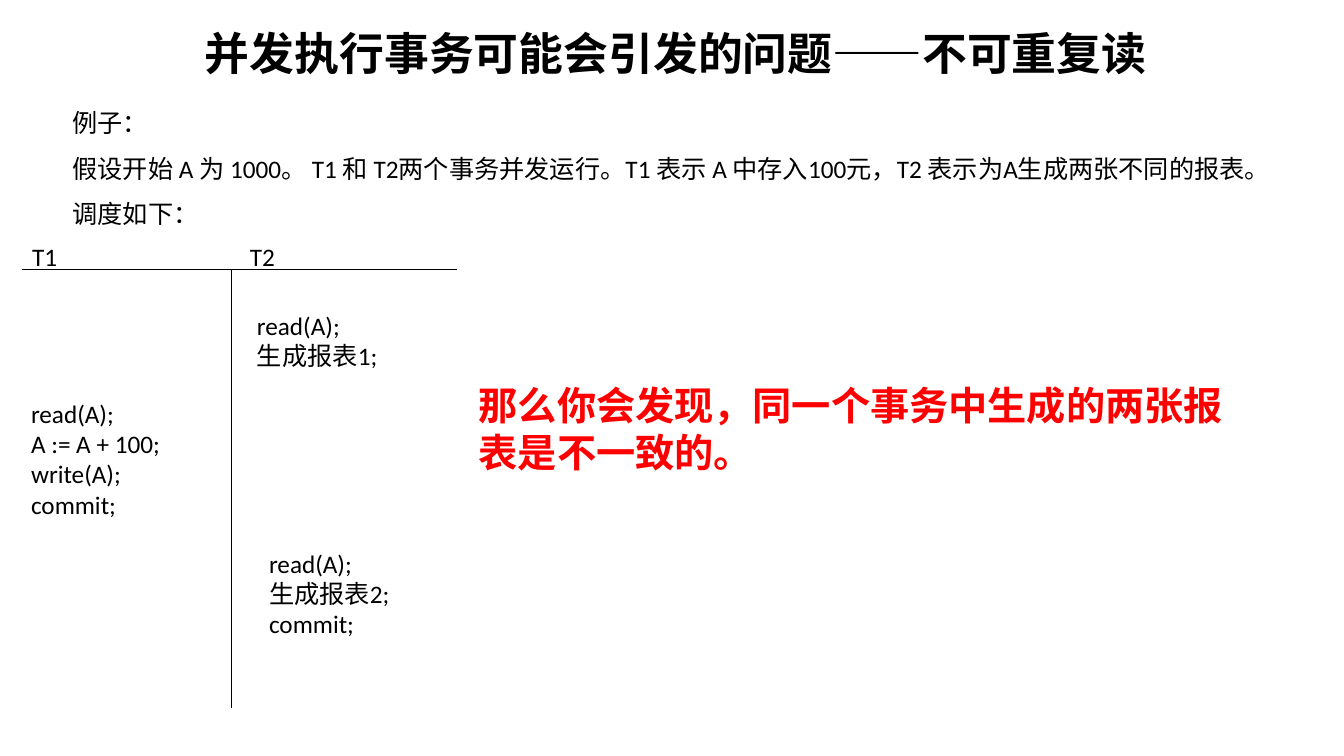
"""Build the slide on non-repeatable reads between concurrent transactions."""
from dataclasses import dataclass

import pptx
import pptx.dml.color
import pptx.enum.lang
import pptx.enum.shapes
import pptx.enum.text
import pptx.oxml.ns
import pptx.shapes.shapetree
import pptx.util
from lxml import etree

Inches = pptx.util.Inches
BLACK = "000000"
RED = "FF0000"
LEFT = pptx.enum.text.PP_ALIGN.LEFT
CENTER = pptx.enum.text.PP_ALIGN.CENTER


@dataclass(frozen=True)
class Passage:
    """A block of text with its place and look."""

    left: float
    top: float
    width: float
    height: float
    lines: tuple[str, ...]
    size: int = 18
    color: str = BLACK
    bold: bool = False
    align: int = LEFT
    spacing: float = 1.0


@dataclass(frozen=True)
class Rule:
    """A straight line of the schedule frame."""

    x1: float
    y1: float
    x2: float
    y2: float


HEADER_Y = 2.67
DIVIDER_X = 2.3

SCHEDULE_RULES = (
    Rule(0.22, HEADER_Y, 4.53, HEADER_Y),
    Rule(DIVIDER_X, HEADER_Y, DIVIDER_X, 7.02),
)
SCHEDULE_HEADERS = (
    Passage(0.22, 2.34, 1.29, 0.4, ("T1",)),
    Passage(2.38, 2.34, 1.73, 0.4, ("T2",)),
)
EXAMPLE = Passage(
    0.62, 0.87, 12.21, 1.46,
    (
        "例子：",
        "假设开始 A 为 1000。 T1 和 T2两个事务并发运行。T1 表示 A 中存入100元，"
        "T2 表示为A生成两张不同的报表。调度如下：",
    ),
    spacing=1.5,
)
TITLE = Passage(
    1.54, 0.21, 10.33, 0.64, ("并发执行事务可能会引发的问题——不可重复读",),
    size=32, bold=True, align=CENTER,
)
CONCLUSION = Passage(
    4.65, 3.73, 7.73, 1.04, ("那么你会发现，同一个事务中生成的两张报表是不一致的。",),
    size=28, color=RED, bold=True,
)
STEPS = (
    Passage(2.45, 3.03, 2.19, 0.71, ("read(A);", "生成报表1;")),
    Passage(0.21, 3.9, 1.74, 1.31, ("read(A);", "A := A + 100;", "write(A);", "commit;")),
    Passage(2.57, 5.39, 1.61, 1.01, ("read(A);", "生成报表2;", "commit;")),
)


def rgb(value: str) -> pptx.dml.color.RGBColor:
    """Turn a hex string into a colour."""
    return pptx.dml.color.RGBColor.from_string(value)


def apply_format(target: object, values: dict[str, object]) -> None:
    """Set each named attribute on the target."""
    for name, value in values.items():
        setattr(target, name, value)


def draw_passage(shapes: pptx.shapes.shapetree._BaseGroupShapes, passage: Passage) -> None:
    """Add a passage as a wrapping text box."""
    place = map(Inches, (passage.left, passage.top, passage.width, passage.height))
    frame = shapes.add_textbox(*place).text_frame
    frame.text = "\n".join(passage.lines)
    apply_format(frame, {
        "word_wrap": True,
        "auto_size": pptx.enum.text.MSO_AUTO_SIZE.SHAPE_TO_FIT_TEXT,
    })
    for paragraph in frame.paragraphs:
        apply_format(paragraph, {"alignment": passage.align, "line_spacing": passage.spacing})
        for run in paragraph.runs:
            apply_format(run.font, {
                "name": "Calibri",
                "size": pptx.util.Pt(passage.size),
                "bold": passage.bold,
                "language_id": pptx.enum.lang.MSO_LANGUAGE_ID.SIMPLIFIED_CHINESE,
            })
            run.font.color.rgb = rgb(passage.color)


def draw_rule(shapes: pptx.shapes.shapetree._BaseGroupShapes, rule: Rule) -> None:
    """Add a thin black line without a shadow."""
    ends = map(Inches, (rule.x1, rule.y1, rule.x2, rule.y2))
    divider = shapes.add_connector(pptx.enum.shapes.MSO_CONNECTOR.STRAIGHT, *ends)
    divider.line.width = pptx.util.Pt(0.75)
    divider.line.color.rgb = rgb(BLACK)
    etree.SubElement(divider._element.spPr, pptx.oxml.ns.qn("a:effectLst"))


def main() -> None:
    """Draw the slide and save it."""
    deck = pptx.Presentation()
    apply_format(deck, {"slide_width": Inches(13.33), "slide_height": Inches(7.5)})
    shapes = deck.slides.add_slide(deck.slide_layouts[6]).shapes

    draw_passage(shapes, EXAMPLE)
    schedule = shapes.add_group_shape().shapes
    for rule in SCHEDULE_RULES:
        draw_rule(schedule, rule)
    for header in SCHEDULE_HEADERS:
        draw_passage(schedule, header)
    for passage in (TITLE, CONCLUSION, *STEPS):
        draw_passage(shapes, passage)

    deck.save("out.pptx")


if __name__ == "__main__":
    main()
